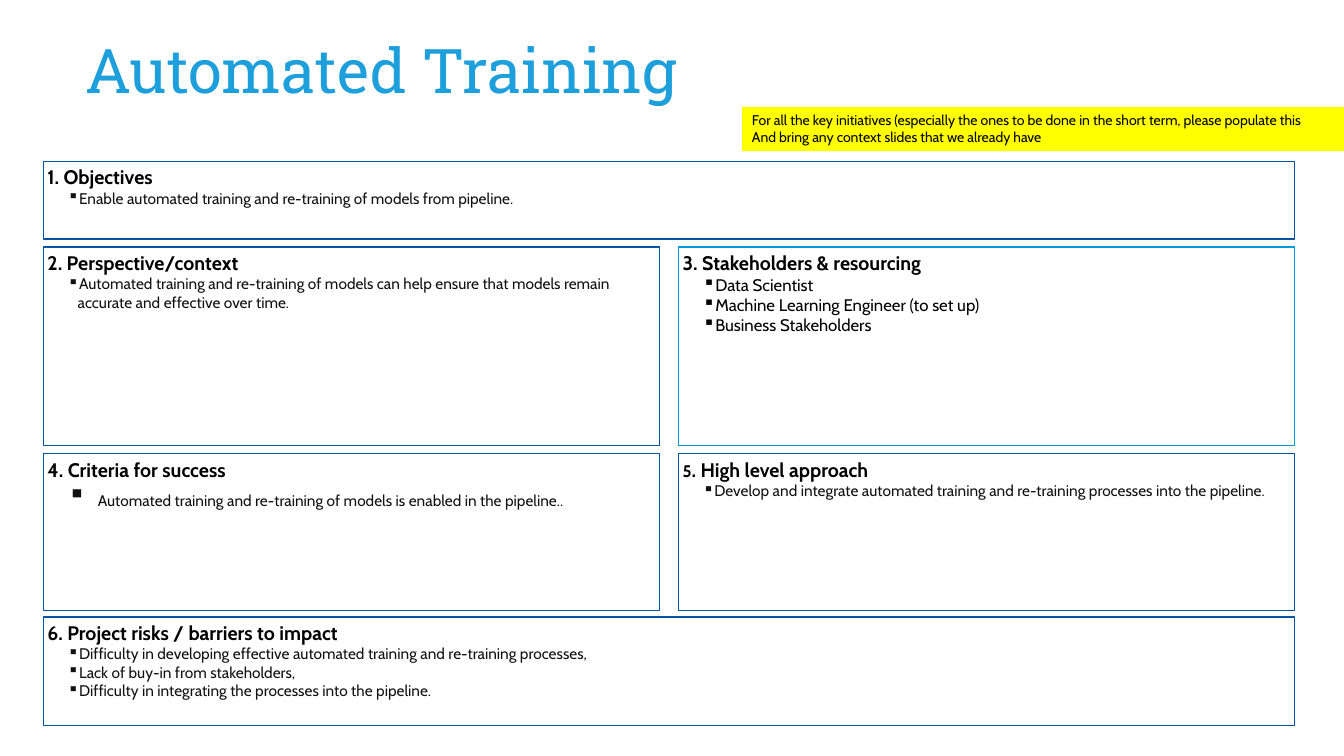
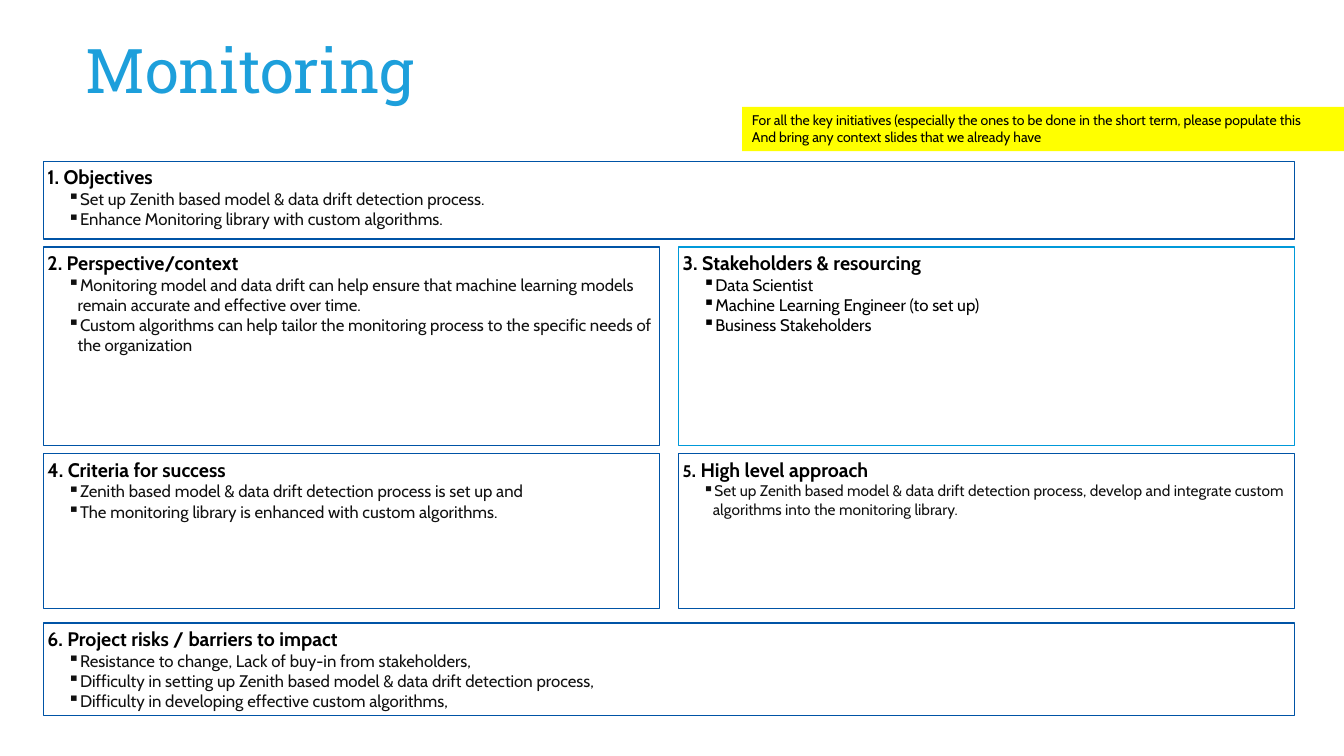
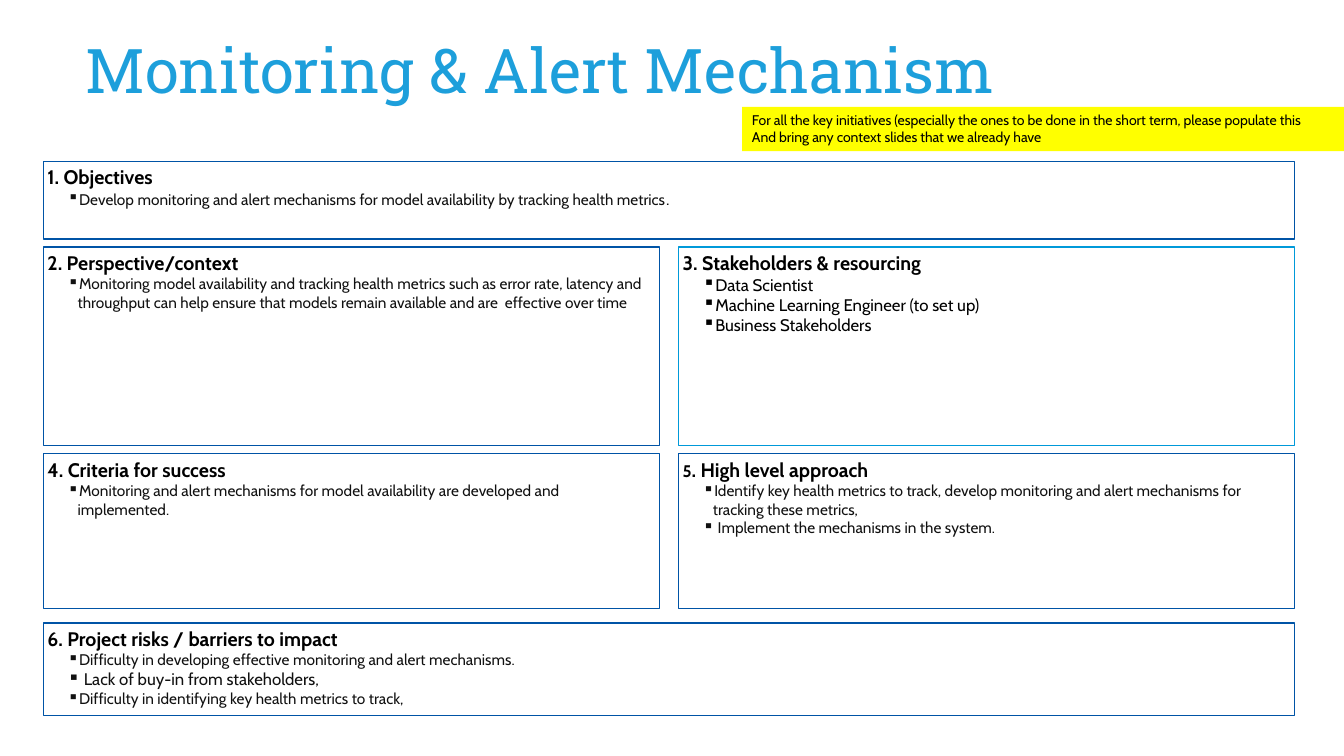
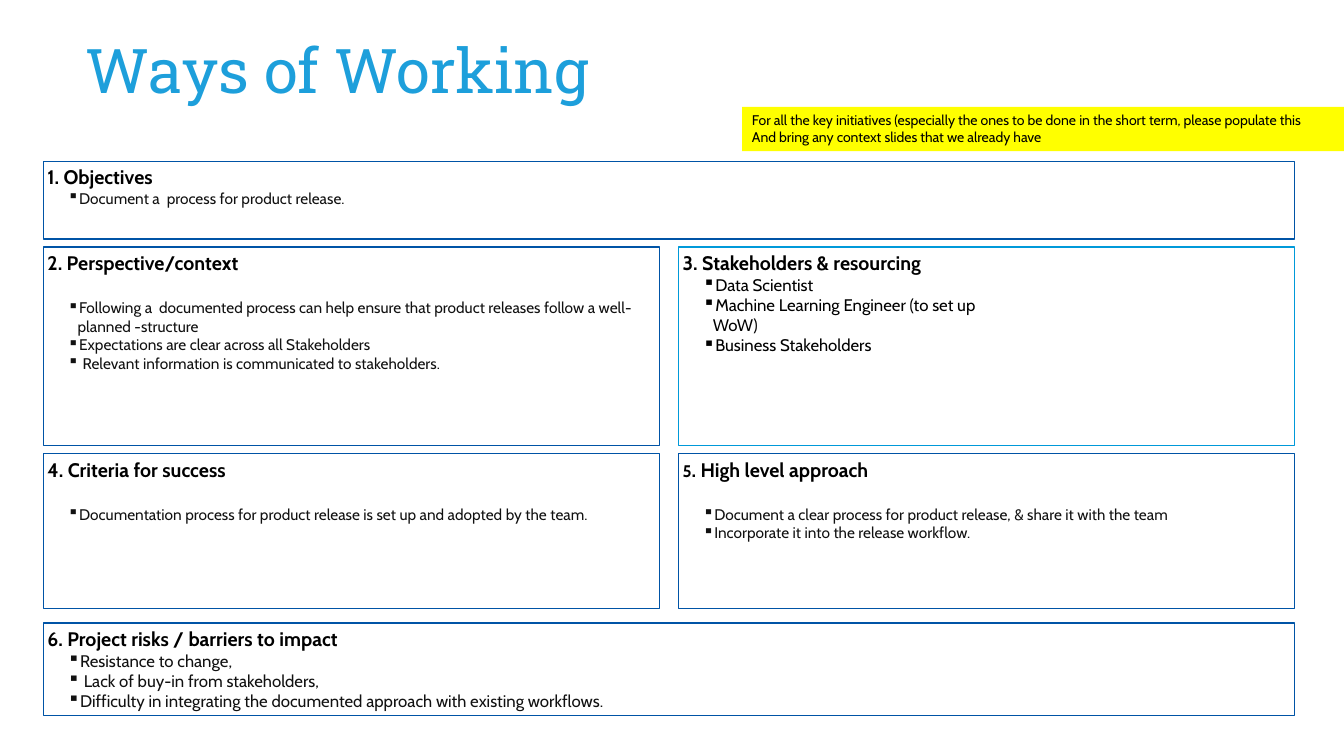
from lxml.etree import SubElement
from pptx import Presentation
from pptx.dml.color import RGBColor
from pptx.enum.shapes import MSO_SHAPE
from pptx.enum.text import MSO_ANCHOR, MSO_AUTO_SIZE, PP_ALIGN
from pptx.oxml.ns import qn
from pptx.util import Inches, Pt

COLORS = {
    "title": "1D9FDB",
    "border": "0054A6",
    "accent": "0099D9",
    "heading": "000000",
    "body": "111111",
    "note": "FFFF00",
}
TITLE_FONT, BODY_FONT = "Roboto Slab", "Cabin"
HEADING_SIZE = 14
BLANK_LINE = 17
WIDTH, HEIGHT = 13.33, 7.5

LEFT, COLUMN, GUTTER = 0.43, 6.11, 0.19
RIGHT = LEFT + COLUMN + GUTTER
FULL = 2 * COLUMN + GUTTER
TOP_ROW, MIDDLE_ROW, LOWER_ROW = (1.6, 0.77), (2.45, 1.97), (4.5, 1.54)
BOTTOM_ROW = (6.18, 0.92)
TALL_LOWER_ROW, TALL_BOTTOM_ROW = (4.5, 1.56), (6.12, 1.08)

NOTE = [
    "For all the key initiatives (especially the ones to be done in the short term, please populate this",
    "And bring any context slides that we already have",
]
PANELS = [
    ("objectives", [("1. Objectives", 14)], LEFT, FULL, 1, "border", "body"),
    ("context", [("2. Perspective/context", 14)], LEFT, COLUMN, 1, "border", "body"),
    ("people", [("3. Stakeholders & resourcing", 14)], RIGHT, COLUMN, 2, "accent", "heading"),
    ("criteria", [("4. Criteria for success", 14)], LEFT, COLUMN, 1, "border", "body"),
    ("approach", [("5", 12), (". High level approach", 14)], RIGHT, COLUMN, 1, "border", "body"),
    ("risks", [("6. Project risks / barriers to impact", 14)], LEFT, FULL, 2, "border", "body"),
]
PEOPLE = ["Data Scientist", "Machine Learning Engineer (to set up)", "Business Stakeholders"]

PAGES = [
    {
        "title": "Automated Training",
        "lower": TALL_LOWER_ROW,
        "bottom": TALL_BOTTOM_ROW,
        "objectives": (11, ["Enable automated training and re-training of models from pipeline."]),
        "context": (11, [
            "Automated training and re-training of models can help ensure that models remain accurate and effective over time.",
        ]),
        "people": (12, PEOPLE),
        "criteria": (11, [
            [("\t", 18), ("Automated training and re-training of models is enabled in the pipeline..", 11)],
        ]),
        "approach": (11, [
            "Develop and integrate automated training and re-training processes into the pipeline.",
        ]),
        "risks": (11, [
            "Difficulty in developing effective automated training and re-training processes,",
            "Lack of buy-in from stakeholders,",
            "Difficulty in integrating the processes into the pipeline.",
        ]),
    },
    {
        "title": "Monitoring",
        "objectives": (12, [
            "Set up Zenith based model & data drift detection process.",
            "Enhance Monitoring library with custom algorithms.",
        ]),
        "context": (12, [
            "Monitoring model and data drift can help ensure that machine learning models remain accurate and effective over time.",
            "Custom algorithms can help tailor the monitoring process to the specific needs of the organization",
        ]),
        "people": (12, PEOPLE),
        "criteria": (12, [
            "Zenith based model & data drift detection process is set up and",
            "The monitoring library is enhanced with custom algorithms.",
        ]),
        "approach": (11, [
            "Set up Zenith based model & data drift detection process, develop and integrate custom algorithms into the monitoring library.",
        ]),
        "risks": (12, [
            "Resistance to change, Lack of buy-in from stakeholders,",
            "Difficulty in setting up Zenith based model & data drift detection process,",
            "Difficulty in developing effective custom algorithms,",
        ]),
    },
    {
        "title": "Monitoring & Alert Mechanism",
        "objectives": (11, [
            [("Develop monitoring and alert mechanisms for model availability by tracking health metrics", 11), (".", 12)],
        ]),
        "context": (11, [
            "Monitoring model availability and tracking health metrics such as error rate, latency and throughput can help ensure that models remain available and are  effective over time",
        ]),
        "people": (12, PEOPLE),
        "criteria": (11, [
            "Monitoring and alert mechanisms for model availability are developed and implemented.",
        ]),
        "approach": (11, [
            "Identify key health metrics to track, develop monitoring and alert mechanisms for tracking these metrics,",
            " Implement the mechanisms in the system.",
        ]),
        "risks": (11, [
            "Difficulty in developing effective monitoring and alert mechanisms.",
            [(" Lack of buy-in from stakeholders,", 12)],
            "Difficulty in identifying key health metrics to track,",
        ]),
    },
    {
        "title": "Ways of Working",
        "spaced": ["context", "criteria", "approach"],
        "objectives": (11, ["Document a  process for product release."]),
        "context": (11, [
            "Following a  documented process can help ensure that product releases follow a well- planned -structure",
            "Expectations are clear across all Stakeholders",
            " Relevant information is communicated to stakeholders.",
        ]),
        "people": (12, [PEOPLE[0], "Machine Learning Engineer (to set up WoW)", PEOPLE[2]]),
        "criteria": (11, ["Documentation process for product release is set up and adopted by the team."]),
        "approach": (11, [
            "Document a clear process for product release, & share it with the team",
            "Incorporate it into the release workflow.",
        ]),
        "risks": (12, [
            "Resistance to change,",
            " Lack of buy-in from stakeholders,",
            "Difficulty in integrating the documented approach with existing workflows.",
        ]),
    },
]


def add_box(page, left, top, width, height):
    box = page.shapes.add_shape(
        MSO_SHAPE.RECTANGLE, Inches(left), Inches(top), Inches(width), Inches(height))
    box.shadow.inherit = False
    box.text_frame.word_wrap = True
    box.text_frame.vertical_anchor = MSO_ANCHOR.TOP
    return box


def write(para, spans, color, bold=False, font=BODY_FONT):
    para.alignment = PP_ALIGN.LEFT
    for text, size in spans:
        span = para.add_run()
        span.text = text
        span.font.name = font
        span.font.size = Pt(size)
        span.font.bold = bold
        span.font.color.rgb = RGBColor.from_string(COLORS[color])


deck = Presentation()
deck.slide_width, deck.slide_height = Inches(WIDTH), Inches(HEIGHT)

for content in PAGES:
    page = deck.slides.add_slide(deck.slide_layouts[5])
    title = page.shapes.title
    title.left, title.top = Inches(0.75), Inches(0.14)
    title.width, title.height = Inches(11.7), Inches(1.17)
    title.text_frame.auto_size = MSO_AUTO_SIZE.NONE
    title.text_frame.vertical_anchor = MSO_ANCHOR.MIDDLE
    title.text_frame.paragraphs[0].line_spacing = 0.9
    write(title.text_frame.paragraphs[0], [(content["title"], 44)], "title", font=TITLE_FONT)

    lower = content.get("lower", LOWER_ROW)
    rows = {
        "objectives": TOP_ROW,
        "context": MIDDLE_ROW,
        "people": MIDDLE_ROW,
        "criteria": lower,
        "approach": lower,
        "risks": content.get("bottom", BOTTOM_ROW),
    }
    for name, heading, left, width, columns, border, color in PANELS:
        panel = add_box(page, left, rows[name][0], width, rows[name][1])
        panel.fill.background()
        panel.line.color.rgb = RGBColor.from_string(COLORS[border])
        panel.line.width = Pt(1)
        frame = panel.text_frame
        frame.margin_left = frame.margin_right = Inches(0.04)
        frame.margin_top = frame.margin_bottom = Inches(0.04)
        frame._txBody.bodyPr.set("numCol", str(columns))
        write(frame.paragraphs[0], heading, "heading", bold=True)

        size, bullets = content[name]
        for index, bullet in enumerate(bullets):
            para = frame.add_paragraph()
            properties = para._p.get_or_add_pPr()
            properties.set("marL", str(Inches(0.3)))
            properties.set("indent", str(Inches(-0.1)))
            SubElement(properties, qn("a:buChar")).set("char", "▪")
            if index == 0 and name in content.get("spaced", []):
                para.space_before = Pt(BLANK_LINE)
            write(para, [(bullet, size)] if isinstance(bullet, str) else bullet, color)

    note = add_box(page, 7.36, 1.06, WIDTH - 7.36, 0.44)
    note.fill.solid()
    note.fill.fore_color.rgb = RGBColor.from_string(COLORS["note"])
    note.line.fill.background()
    write(note.text_frame.paragraphs[0], [(NOTE[0], 10)], "heading")
    write(note.text_frame.add_paragraph(), [(NOTE[1], 10)], "heading")

deck.save("out.pptx")
